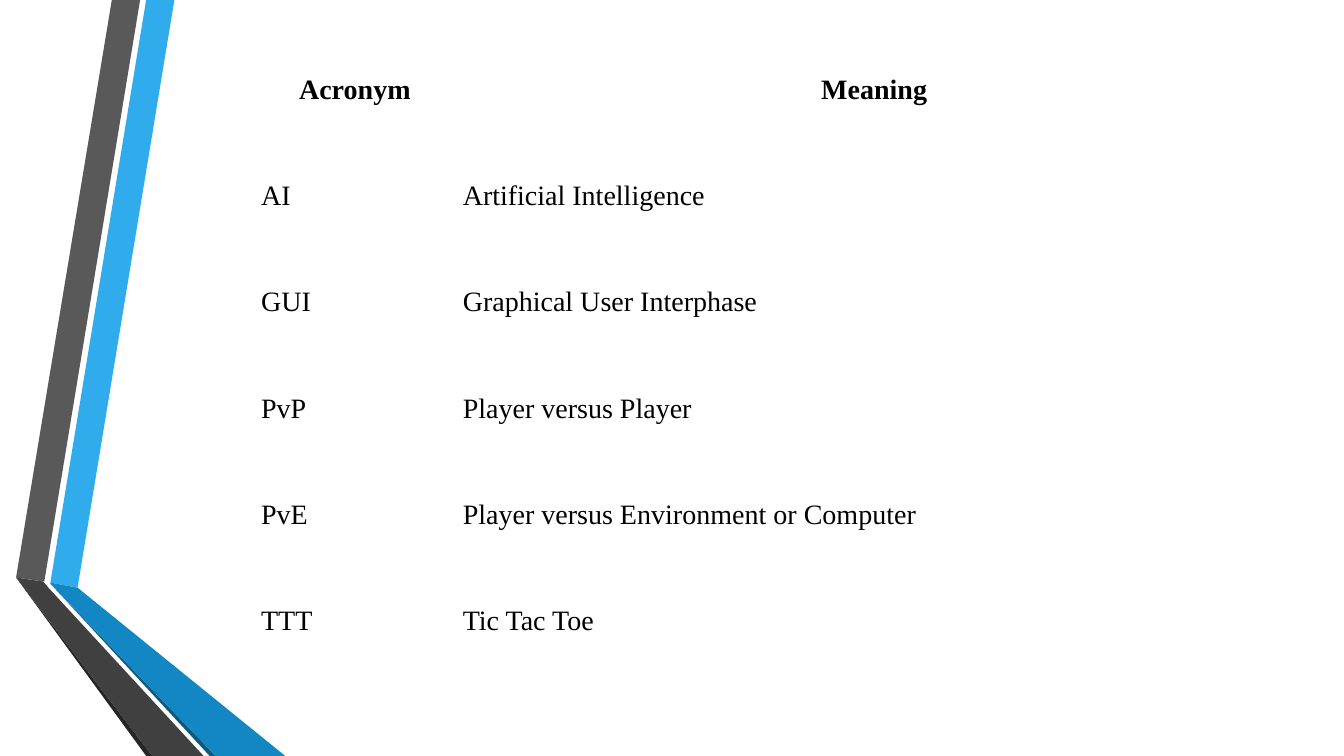
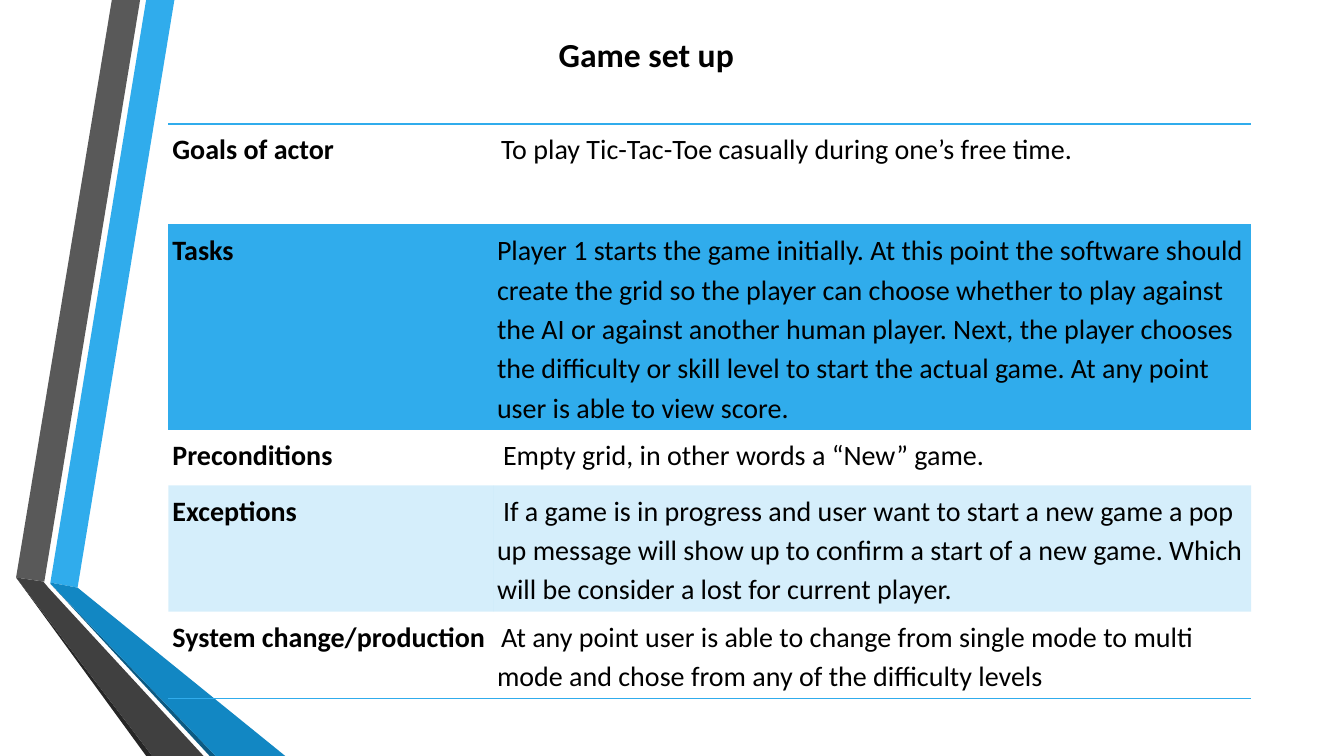
from lxml.etree import SubElement
from pptx import Presentation
from pptx.dml.color import RGBColor
from pptx.enum.text import MSO_ANCHOR, PP_ALIGN
from pptx.oxml.ns import qn
from pptx.util import Inches, Pt

BLACK, WHITE, SKY = "000000", "FFFFFF", "30ACEC"
SERIF, SANS = "Times New Roman", "Calibri"
TITLE_ONLY, BLANK = 5, 6
NO_STYLE = "{2D5ABB26-0587-4C30-8999-92F81FD0307C}"

RIBBON = [
    (SKY, [(0.5, 5.78), (0.77, 5.83), (1.73, 0), (1.45, 0)]),
    ("595959", [(1.39, 0), (1.11, 0), (0.16, 5.73), (0.44, 5.77)]),
    ("262626", [(0.16, 5.73), (1.45, 7.5), (1.51, 7.5)]),
    ("0C5A82", [(0.5, 5.79), (2.08, 7.5), (2.14, 7.5)]),
    ("1287C3", [(0.5, 5.79), (2.14, 7.5), (2.83, 7.5), (0.77, 5.83), (0.5, 5.78)]),
    ("404040", [(2.02, 7.5), (0.48, 5.83), (0.43, 5.77), (0.16, 5.73), (1.51, 7.5)]),
]

ACRONYMS = [
    ("Acronym", "Meaning"),
    ("AI", "Artificial Intelligence"),
    ("GUI", "Graphical User Interphase"),
    ("PvP", "Player versus Player"),
    ("PvE", "Player versus Environment or Computer"),
    ("TTT", "Tic Tac Toe"),
]

USE_CASE = [
    ("Goals of actor", "To play Tic-Tac-Toe casually during one’s free time.", 1, 0.04),
    ("Tasks", "Player 1 starts the game initially. At this point the software should "
     "create the grid so the player can choose whether to play against the AI or "
     "against another human player. Next, the player chooses the difficulty or skill "
     "level to start the actual game. At any point user is able to view score.", 1.71, 0),
    ("Preconditions", "Empty grid, in other words a “New” game.", 0.55, 0.06),
    ("Exceptions", "If a game is in progress and user want to start a new game a pop up "
     "message will show up to confirm a start of a new game. Which will be consider a "
     "lost for current player.", 1.07, 0.06),
    ("System change/production", "At any point user is able to change from single mode "
     "to multi mode and chose from any of the difficulty levels", 0.5, 0.04),
]


def color(hex_text):
    """Turn a hex string into a colour."""
    return RGBColor.from_string(hex_text)


def write_text(frame, text, font=SANS, size=20, bold=False, align=PP_ALIGN.LEFT,
               line_spacing=1.0, space_after=0, indent=0):
    """Write one formatted paragraph into a text frame."""
    frame.word_wrap = True
    paragraph = frame.paragraphs[0]
    paragraph.alignment = align
    paragraph.line_spacing = line_spacing
    paragraph.space_before = Pt(0)
    paragraph.space_after = Pt(space_after)
    if indent:
        paragraph._p.get_or_add_pPr().set("indent", str(Inches(indent)))
    run = paragraph.add_run()
    run.text = text
    run.font.name = font
    run.font.size = Pt(size)
    run.font.bold = bold
    run.font.color.rgb = color(BLACK)


def add_ribbon(slide):
    """Draw the folded ribbon down the left edge."""
    for shade, outline in RIBBON:
        corners = [(Inches(x), Inches(y)) for x, y in outline]
        builder = slide.shapes.build_freeform(*corners[0])
        builder.add_line_segments(corners[1:], close=True)
        band = builder.convert_to_shape()
        band.fill.solid()
        band.fill.fore_color.rgb = color(shade)
        band.line.fill.background()
        band.shadow.inherit = False


def add_grid(slide, box, columns, heights):
    """Add an unstyled table in the box with the given columns and rows."""
    frame = slide.shapes.add_table(len(heights), len(columns), *map(Inches, box))
    grid = frame.table
    grid.first_row = grid.horz_banding = False
    grid._tbl.tblPr.find(qn("a:tableStyleId")).text = NO_STYLE
    for column, width in zip(grid.columns, columns):
        column.width = Inches(width)
    for row, height in zip(grid.rows, heights):
        row.height = Inches(height)
    return grid


def format_cell(cell, margins, border, sides, tint=None):
    """Set margins, one-point borders on some sides, and a translucent tint."""
    cell.margin_left = cell.margin_right = Inches(margins[0])
    cell.margin_top = cell.margin_bottom = Inches(margins[1])
    for side in sides:
        edge = SubElement(cell._tc.get_or_add_tcPr(), qn(f"a:ln{side}"), w=str(Pt(1)))
        edge_fill = SubElement(edge, qn("a:solidFill"))
        SubElement(edge_fill, qn("a:srgbClr"), val=border)
    if tint:
        cell.fill.solid()
        cell.fill.fore_color.rgb = color(tint)
        SubElement(cell._tc.tcPr.find(f".//{qn('a:solidFill')}[last()]/../"
                                      f"{qn('a:solidFill')}/{qn('a:srgbClr')}"),
                   qn("a:alpha"), val="20000")
    else:
        cell.fill.background()


def add_acronyms(slide, box):
    """Place the acronym table in the box."""
    row_height = box[3] / len(ACRONYMS)
    grid = add_grid(slide, box, (2, box[2] - 2), [row_height] * len(ACRONYMS))
    for row, entry in enumerate(ACRONYMS):
        heading = row == 0
        for column, text in enumerate(entry):
            cell = grid.cell(row, column)
            format_cell(cell, (0.07, 0), WHITE, "LRTB")
            write_text(cell.text_frame, text, font=SERIF, bold=heading,
                       align=PP_ALIGN.CENTER if heading else PP_ALIGN.LEFT,
                       line_spacing=1.15, space_after=10)


def add_use_case(slide, box):
    """Place the use case table in the box, tinting every second row."""
    grid = add_grid(slide, box, (3.22, box[2] - 3.22), [entry[2] for entry in USE_CASE])
    sides = {0: "TB", 1: "T", len(USE_CASE) - 1: "B"}
    for row, (label, detail, _, indent) in enumerate(USE_CASE):
        for column, text in enumerate((label, detail)):
            cell = grid.cell(row, column)
            format_cell(cell, (0.04, 0.04), SKY, sides.get(row, ""),
                        tint=SKY if row % 2 else None)
            write_text(cell.text_frame, text, bold=column == 0, line_spacing=1.15,
                       indent=indent * column)


def add_title(slide, text, box):
    """Move the title placeholder to the box and fill it."""
    title = slide.shapes.title
    title.left, title.top, title.width, title.height = map(Inches, box)
    title.text_frame.vertical_anchor = MSO_ANCHOR.TOP
    write_text(title.text_frame, text, size=24, bold=True)


def new_slide(deck, layout):
    """Add a slide with the shared ribbon."""
    slide = deck.slides.add_slide(deck.slide_layouts[layout])
    for placeholder in list(slide.placeholders):
        if placeholder != slide.shapes.title:
            placeholder.element.getparent().remove(placeholder.element)
    add_ribbon(slide)
    return slide


def main():
    """Build and save the deck."""
    deck = Presentation()
    deck.slide_width, deck.slide_height = Inches(13.33), Inches(7.5)
    add_acronyms(new_slide(deck, BLANK), (2.52, 0.69, 10.3, 6.33))
    game_setup = new_slide(deck, TITLE_ONLY)
    add_title(game_setup, "Game set up", (5.44, 0.29, 3.21, 0.5))
    add_use_case(game_setup, (1.67, 1.23, 10.74, 5.62))
    deck.save("out.pptx")


main()
